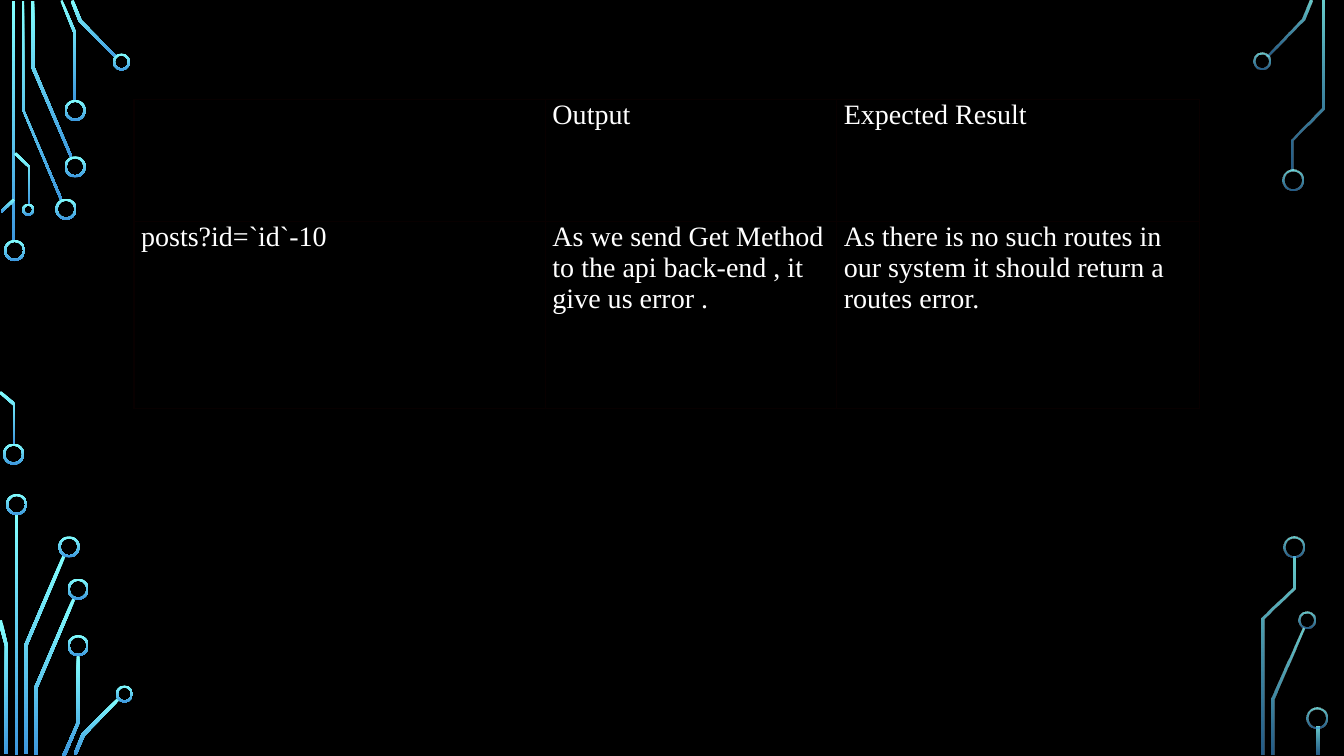
"""Builds a dark slide with circuit traces at its edges and a table of test results."""
from lxml.etree import SubElement
from pptx import Presentation
from pptx.dml.color import RGBColor
from pptx.enum.shapes import MSO_SHAPE
from pptx.oxml.ns import qn
from pptx.util import Inches, Pt

COLORS = {
    "background": "000000",
    "text": "FFFFFF",
    "border": "080000",
    "glow_top": "82FFFF",
    "glow_bottom": "3D97DE",
}
FONT = "Times New Roman"
RING_WIDTH = 0.02
BAR_WIDTH = 0.03
OPAQUE = (100, 100)
FADED = (80, 60)

LEFT_BARS = [(0.12, 0.01, 2.39), (0.15, 5.1, 2.39)]
LEFT_RINGS = [
    (0.04, 2.38, 0.21), (0.03, 4.4, 0.21), (0.55, 1.97, 0.21),
    (0.64, 1.55, 0.21), (0.64, 0.99, 0.21), (1.12, 0.53, 0.17),
    (0.22, 2.02, 0.12), (0.06, 4.9, 0.21), (0.58, 5.32, 0.21),
    (0.67, 5.74, 0.21), (0.67, 6.3, 0.21), (1.15, 6.8, 0.17),
]
LEFT_TRACES = [
    [(0.6, 1.99), (0.22, 1.09), (0.22, 0.01), (0.24, 0.01), (0.24, 1.09), (0.62, 1.98)],
    [(0.7, 1.57), (0.31, 0.67), (0.31, 0.01), (0.34, 0.01), (0.34, 0.66), (0.72, 1.56)],
    [(0.76, 1), (0.73, 1), (0.73, 0.33), (0.6, 0.01), (0.62, 0), (0.76, 0.33)],
    [(1.15, 0.58), (0.78, 0.21), (0.7, 0.01), (0.73, 0), (0.81, 0.2), (1.16, 0.56)],
    [(0.02, 2.11), (0.01, 2.09), (0.13, 1.97), (0.15, 1.99)],
    [(0.15, 4.41), (0.13, 4.41), (0.13, 4.02), (-0.01, 3.9), (0.01, 3.88), (0.15, 4)],
    [(0.3, 2.03), (0.28, 2.03), (0.28, 1.66), (0.14, 1.53), (0.16, 1.51), (0.3, 1.65)],
    [(0.27, 7.48), (0.24, 7.48), (0.24, 6.4), (0.62, 5.51), (0.65, 5.52), (0.27, 6.41)],
    [(0.08, 7.48), (0.05, 7.48), (0.05, 6.41), (-0.02, 6.16), (0.02, 6.15), (0.08, 6.41)],
    [(0.37, 7.49), (0.34, 7.49), (0.34, 6.82), (0.72, 5.93), (0.75, 5.94), (0.37, 6.83)],
    [(0.65, 7.5), (0.62, 7.49), (0.76, 7.17), (0.76, 6.5), (0.79, 6.5), (0.79, 7.17)],
    [(0.76, 7.49), (0.73, 7.48), (0.81, 7.28), (1.17, 6.92), (1.19, 6.94), (0.84, 7.3)],
]
RIGHT_BARS = [(13.06, 7.21, 0.28)]
RIGHT_RINGS = [
    (12.43, 0.52, 0.17), (12.72, 1.68, 0.21), (12.88, 6.07, 0.17),
    (12.73, 5.32, 0.21), (12.96, 7.02, 0.21),
]
RIGHT_TRACES = [
    [(12.58, 0.56), (12.56, 0.55), (12.91, 0.19), (12.99, 0), (13.02, 0.01), (12.94, 0.2)],
    [(12.64, 7.49), (12.61, 7.49), (12.61, 6.93), (12.92, 6.23), (12.94, 6.24), (12.64, 6.94)],
    [(12.83, 1.69), (12.81, 1.69), (12.81, 1.38), (13.11, 1.07), (13.11, 0.01),
     (13.14, 0.01), (13.14, 1.08), (12.83, 1.39)],
    [(12.54, 7.49), (12.51, 7.49), (12.51, 6.13), (12.82, 5.83), (12.82, 5.52),
     (12.85, 5.52), (12.85, 5.84), (12.54, 6.14)],
]
RESULTS = [
    ["", "Output", "Expected Result"],
    [
        "posts?id=`id`-10",
        "As we send Get Method to the api back-end , it give us error .",
        "As there is no such routes in our system it should return a routes error.",
    ],
]
COLUMN_WIDTHS = [4.08, 2.89, 3.6]
ROW_HEIGHTS = [1.21, 1.85]


class CircuitSlide:
    def __init__(self, slide):
        self.slide = slide
        self.shapes = slide.shapes
        backdrop = slide.background.fill
        backdrop.solid()
        backdrop.fore_color.rgb = self.color("background")

    def color(self, name):
        return RGBColor.from_string(COLORS[name])

    def glow(self, part, opacity):
        part.shadow.inherit = False
        part.line.fill.background()
        part.fill.gradient()
        part.fill.gradient_angle = 270
        for stop, name, position in zip(
            part.fill.gradient_stops, ("glow_top", "glow_bottom"), (0, 1)
        ):
            stop.color.rgb = self.color(name)
            stop.position = position
        if opacity != OPAQUE:
            for tone, percent in zip(part._element.spPr.iter(qn("a:srgbClr")), opacity):
                SubElement(tone, qn("a:alpha"), val=str(percent * 1000))

    def bar(self, left, top, height, opacity):
        bar = self.shapes.add_shape(
            MSO_SHAPE.RECTANGLE, Inches(left), Inches(top), Inches(BAR_WIDTH), Inches(height)
        )
        self.glow(bar, opacity)

    def ring(self, left, top, size, opacity):
        ring = self.shapes.add_shape(
            MSO_SHAPE.DONUT, Inches(left), Inches(top), Inches(size), Inches(size)
        )
        ring.adjustments[0] = RING_WIDTH / size
        self.glow(ring, opacity)

    def trace(self, corners, opacity):
        start, *others = [(Inches(x), Inches(y)) for x, y in corners]
        outline = self.shapes.build_freeform(*start)
        outline.add_line_segments(others, close=True)
        self.glow(outline.convert_to_shape(), opacity)

    def circuit(self, bars, rings, traces, opacity):
        for bar in bars:
            self.bar(*bar, opacity)
        for corners in traces:
            self.trace(corners, opacity)
        for ring in rings:
            self.ring(*ring, opacity)

    def cell(self, cell, words):
        cell.margin_left = cell.margin_right = Inches(0.07)
        cell.margin_top = cell.margin_bottom = 0
        properties = cell._tc.get_or_add_tcPr()
        for side in ("lnL", "lnR", "lnT", "lnB"):
            border = SubElement(properties, qn(f"a:{side}"), w=str(Pt(1)))
            paint = SubElement(border, qn("a:solidFill"))
            SubElement(paint, qn("a:srgbClr"), val=COLORS["border"])
        cell.fill.background()
        cell.text = words
        font = cell.text_frame.paragraphs[0].font
        font.name = FONT
        font.size = Pt(20)
        font.color.rgb = self.color("text")

    def table(self, left, top, rows, widths, heights):
        table = self.shapes.add_table(
            len(rows), len(widths), Inches(left), Inches(top),
            Inches(sum(widths)), Inches(sum(heights)),
        ).table
        table.first_row = table.horz_banding = False
        for column, width in zip(table.columns, widths):
            column.width = Inches(width)
        for row, height, texts in zip(table.rows, heights, rows):
            row.height = Inches(height)
            for cell, words in zip(row.cells, texts):
                self.cell(cell, words)


def main():
    deck = Presentation()
    deck.slide_width = Inches(13.33)
    deck.slide_height = Inches(7.5)
    page = CircuitSlide(deck.slides.add_slide(deck.slide_layouts[6]))
    page.circuit(LEFT_BARS, LEFT_RINGS, LEFT_TRACES, OPAQUE)
    page.circuit(RIGHT_BARS, RIGHT_RINGS, RIGHT_TRACES, FADED)
    page.table(1.33, 0.99, RESULTS, COLUMN_WIDTHS, ROW_HEIGHTS)
    deck.save("out.pptx")


if __name__ == "__main__":
    main()
